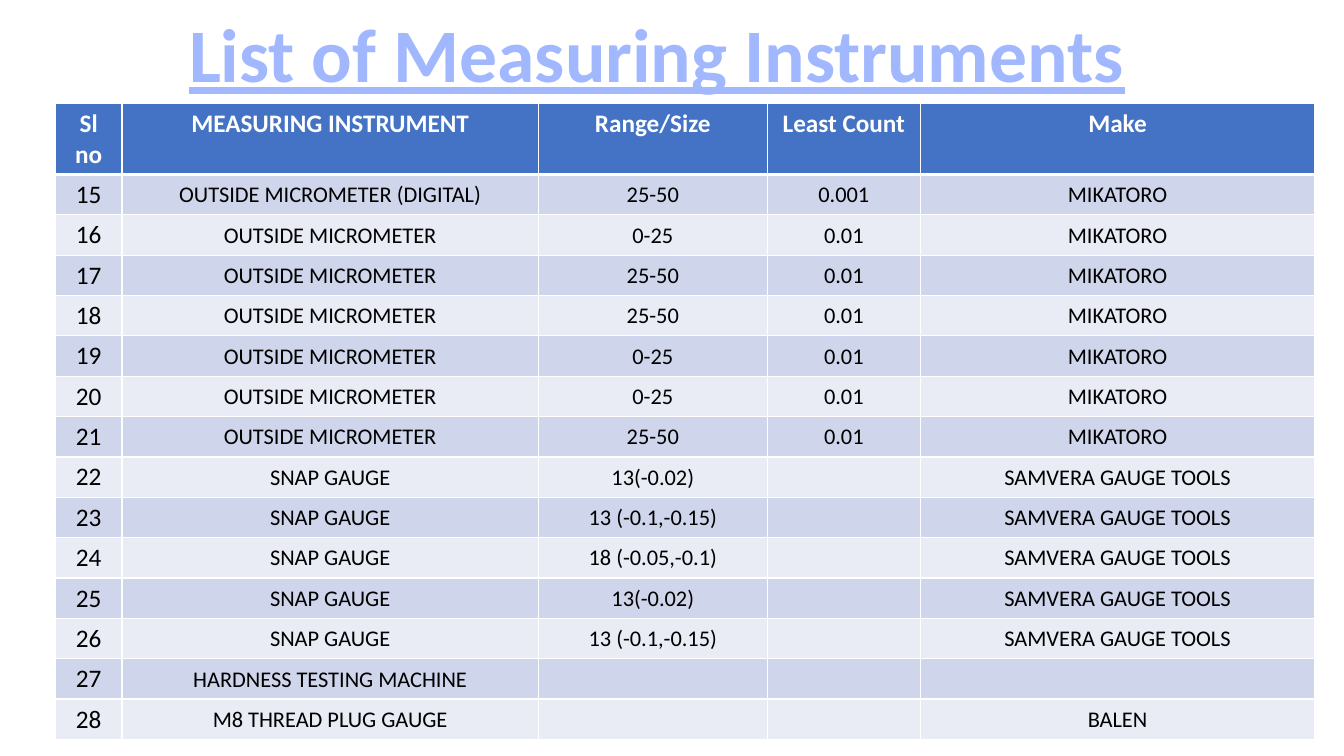
"""Build a slide that lists measuring instruments in a table."""
from lxml import etree
from pptx import Presentation
from pptx.dml.color import RGBColor
from pptx.enum.text import MSO_ANCHOR, PP_ALIGN
from pptx.oxml.ns import qn
from pptx.util import Inches, Pt

CENTER = PP_ALIGN.CENTER
TOP = MSO_ANCHOR.TOP
MIDDLE = MSO_ANCHOR.MIDDLE
WHITE = RGBColor(0xFF, 0xFF, 0xFF)
BLACK = RGBColor(0, 0, 0)
SKY = RGBColor(0xA1, 0xB8, 0xFF)
BLUE = RGBColor(0x44, 0x72, 0xC4)
BANDS = [RGBColor(0xCF, 0xD5, 0xEA), RGBColor(0xE9, 0xEB, 0xF5)]
FONT = "Calibri"

HEADS = ["Sl no", "MEASURING INSTRUMENT", "Range/Size", "Least Count", "Make"]
WIDTHS = [0.66, 4.13, 2.27, 1.52, 3.91]
FIRST = 15
MICRO = "OUTSIDE MICROMETER"
SNAP = "SNAP GAUGE"
MIKA = "MIKATORO"
SAMVERA = "SAMVERA GAUGE TOOLS"
TOOLS = [
    (MICRO + " (DIGITAL)", "25-50", "0.001", MIKA),
    *[(MICRO, size, "0.01", MIKA)
      for size in ("0-25", "25-50", "25-50", "0-25", "0-25", "25-50")],
    *[(SNAP, size, "", SAMVERA)
      for size in ("13(-0.02)", "13 (-0.1,-0.15)", "18 (-0.05,-0.1)",
                   "13(-0.02)", "13 (-0.1,-0.15)")],
    ("HARDNESS TESTING MACHINE", "", "", ""),
    ("M8 THREAD PLUG GAUGE", "", "", "BALEN"),
]


def style(para, size, color, bold=False):
    """Centre a paragraph and set its font."""
    para.alignment = CENTER
    font = para.font
    font.name, font.size, font.bold = FONT, Pt(size), bold
    font.color.rgb = color


def add_title(slide, text):
    """Add the underlined title."""
    box = slide.shapes.add_textbox(
        Inches(1.73), Inches(0.02), Inches(9.57), Inches(1.01))
    frame = box.text_frame
    frame.word_wrap = False
    frame.text = text
    para = frame.paragraphs[0]
    style(para, 54, SKY, True)
    para.font.underline = True


def add_edge(cell, side, width):
    """Draw one white cell border."""
    line = etree.SubElement(
        cell._tc.get_or_add_tcPr(), qn("a:ln" + side), w=str(Pt(width)))
    fill = etree.SubElement(line, qn("a:solidFill"))
    etree.SubElement(fill, qn("a:srgbClr"), val=str(WHITE))


def fill_cell(cell, text, row, col):
    """Set the text, borders and fill of a cell by its place."""
    head = row == 0
    for side in "LRTB":
        heavy = (head and side == "B") or (row == 1 and side == "T")
        add_edge(cell, side, 3 if heavy else 1)
    cell.fill.solid()
    cell.fill.fore_color.rgb = BLUE if head else BANDS[(row - 1) % 2]
    cell.text = text
    tight = not head and col > 0
    cell.vertical_anchor = MIDDLE if tight else TOP
    if tight:
        cell.margin_left = cell.margin_right = cell.margin_top = Inches(0.01)
        cell.margin_bottom = 0
    style(cell.text_frame.paragraphs[0], 16 if tight else 18,
          WHITE if head else BLACK, head)


def add_list(slide):
    """Add the table of instruments."""
    rows = [HEADS] + [(str(num), *tool)
                      for num, tool in enumerate(TOOLS, FIRST)]
    table = slide.shapes.add_table(
        len(rows), len(HEADS), Inches(0.55), Inches(1.03),
        Inches(sum(WIDTHS)), Inches(6.3)).table
    for col, width in zip(table.columns, WIDTHS):
        col.width = Inches(width)
    for row, texts in enumerate(rows):
        table.rows[row].height = Inches(0.4 if row else 0.7)
        for col, text in enumerate(texts):
            fill_cell(table.cell(row, col), text, row, col)


def main():
    """Build and save the slide."""
    deck = Presentation()
    deck.slide_width, deck.slide_height = Inches(13.33), Inches(7.5)
    slide = deck.slides.add_slide(deck.slide_layouts[6])
    add_title(slide, "List of Measuring Instruments")
    add_list(slide)
    deck.save("out.pptx")


if __name__ == "__main__":
    main()
